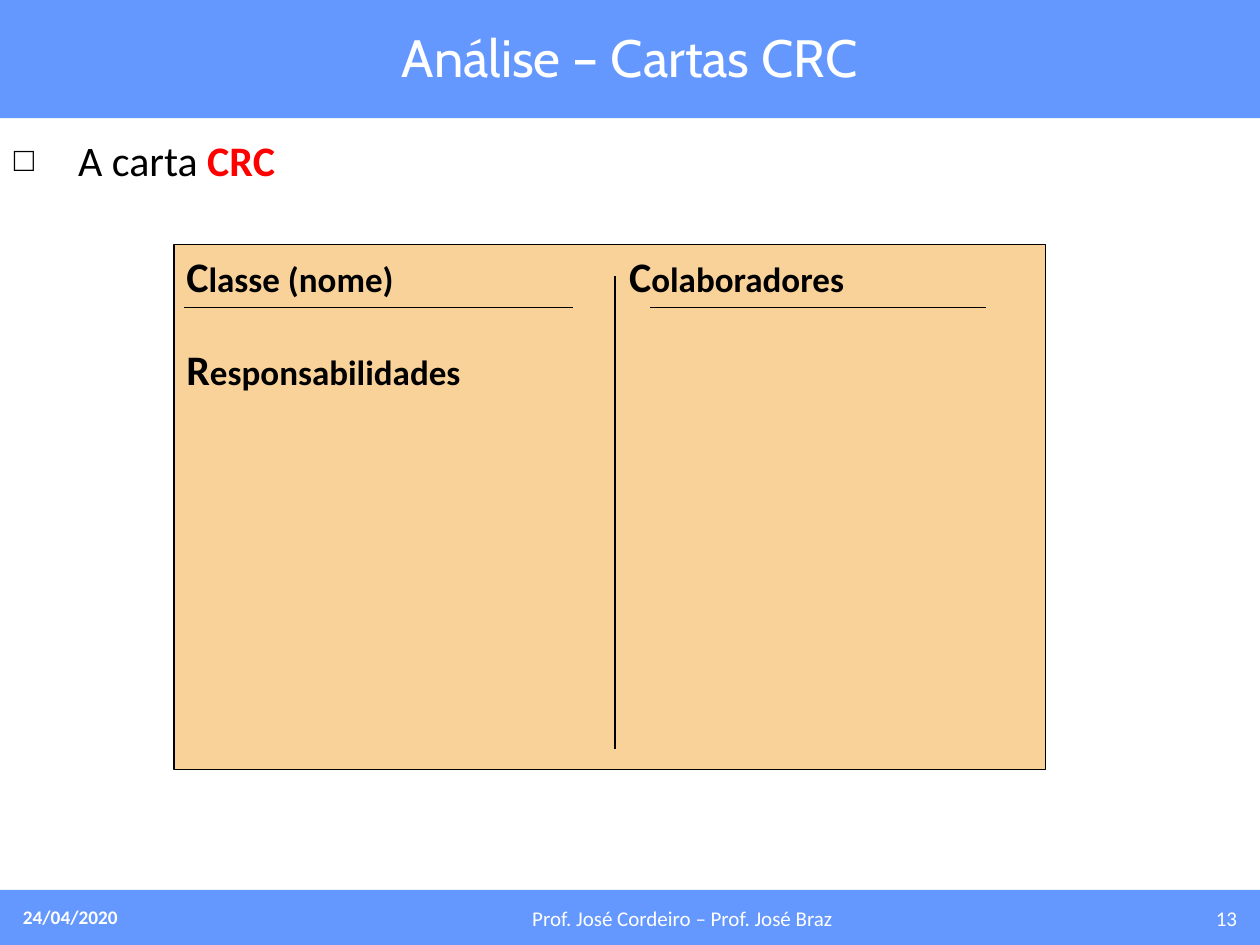
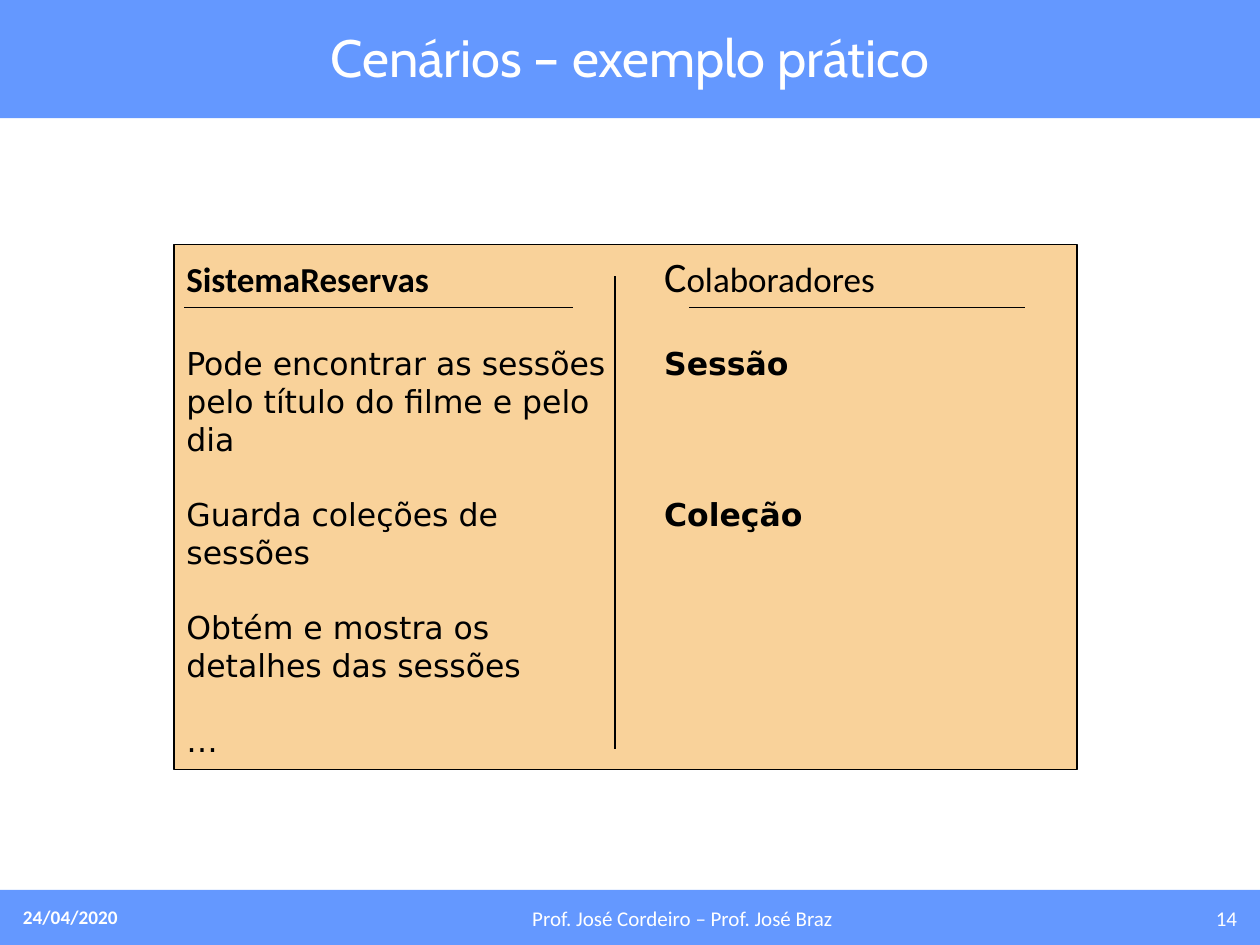
from lxml.etree import SubElement as Sub
from pptx import Presentation
from pptx.dml.color import RGBColor
from pptx.enum.shapes import MSO_CONNECTOR as Link, MSO_SHAPE as Kind
from pptx.enum.text import MSO_ANCHOR as Anchor, MSO_AUTO_SIZE as Fit, PP_ALIGN as Align
from pptx.oxml.ns import qn
from pptx.util import Pt

BLUE, SAND, WHITE, BLACK, RED = "6498FF", "F9D29A", "FFFFFF", "000000", "FF0000"
WIDE, HIGH = 720, 540
BANDS = [(508.5, 31.5), (0, 67.5)]  # top, height

# Text styles: font, size, bold, colour
TITLE = ("Cabin", 30, False, WHITE)
DATE = ("Calibri", 11, True, WHITE)
FOOT = ("Calibri", 12, False, WHITE)
LEAD = ("Calibri", 24, False, BLACK)
KEY = ("Calibri", 24, True, RED)
CAP = ("Calibri", 24, True, BLACK)
HEAD = ("Calibri", 20, True, BLACK)
THIN = ("Calibri", 20, False, BLACK)
ITEM = ("DejaVu Sans", 18, False, BLACK)
NAME = ("DejaVu Sans", 18, True, BLACK)

# Card rows: space before, then runs; a tab leads to the second column
SLIDES = [
    {
        "title": "Análise – Cartas CRC", "page": "13",
        "body": [("A carta ", LEAD), ("CRC", KEY)],
        "width": 498, "tab": 253, "rule": 371.5,
        "rows": [
            (0, [("C", CAP), ("lasse (nome)\t", HEAD), ("C", CAP), ("olaboradores", HEAD)]),
            (24.4, [("R", CAP), ("esponsabilidades", HEAD)]),
        ],
    },
    {
        "title": "Cenários – exemplo prático", "page": "14",
        "body": [],
        "width": 516, "tab": 273, "rule": 394,
        "rows": [
            (0, [("SistemaReservas\t", HEAD), ("C", LEAD), ("olaboradores", THIN)]),
            (24.4, [("Pode encontrar as sessões\t", ITEM), ("Sessão", NAME),
                    ("\npelo título do filme e pelo\ndia", ITEM)]),
            (21.5, [("Guarda coleções de\t", ITEM), ("Coleção", NAME), ("\nsessões", ITEM)]),
            (21.5, [("Obtém e mostra os\ndetalhes das sessões", ITEM)]),
            (21.5, [("…", ITEM)]),
        ],
    },
]
AUTHORS = "Prof. José Cordeiro – Prof. José Braz"
FEET = [  # left, width, alignment, style
    (6, 93, Align.LEFT, DATE),
    (99, 582, Align.CENTER, FOOT),
    (683, 31, Align.RIGHT, FOOT),
]
CARD_X, CARD_Y, CARD_H = 99.4, 139.8, 300
MID_X, RULE_Y = 351.4, 175.6


def tint(code):
    return RGBColor.from_string(code)


def style(run, look):
    font = run.font
    font.name, size, font.bold, code = look
    font.size = Pt(size)
    font.color.rgb = tint(code)


def write(par, runs):
    """Add styled runs; a newline in a text is a line break."""
    for text, look in runs:
        for num, line in enumerate(text.split("\n")):
            if num:
                par.add_line_break()
            if line:
                run = par.add_run()
                run.text = line
                style(run, look)


def place(shape, x, y, w, h):
    shape.left, shape.top, shape.width, shape.height = map(Pt, (x, y, w, h))


def box(slide, x, y, w, h, fill):
    shape = slide.shapes.add_shape(Kind.RECTANGLE, *map(Pt, (x, y, w, h)))
    shape.shadow.inherit = False
    shape.fill.solid()
    shape.fill.fore_color.rgb = tint(fill)
    shape.line.fill.background()
    return shape


def pen(line):
    line.color.rgb = tint(BLACK)
    line.width = Pt(0.75)


def rule(slide, *ends):
    line = slide.shapes.add_connector(Link.STRAIGHT, *map(Pt, ends))
    Sub(line.element.spPr, qn("a:effectLst"))
    pen(line.line)


def share(slide, master):
    """Move the blue bands to the master, behind all slides."""
    for num, (top, high) in enumerate(BANDS):
        band = box(slide, 0, top, WIDE, high, BLUE)
        band.element.nvSpPr.cNvPr.id = 100 + num
        master.shapes.element.insert(2, band.element)


def label(slide, text, x, w, align, look):
    frame = slide.shapes.add_textbox(Pt(x), Pt(514), Pt(w), Pt(25)).text_frame
    frame.word_wrap = True
    frame.text = text
    par = frame.paragraphs[0]
    par.alignment = align
    style(par.runs[0], look)


def head(slide, text):
    title = slide.shapes.title
    place(title, 0, 10.8, WIDE, 43.2)
    frame = title.text_frame
    frame.text = text
    frame.auto_size = Fit.NONE
    frame.vertical_anchor = Anchor.BOTTOM
    par = frame.paragraphs[0]
    par.alignment = Align.CENTER
    style(par.runs[0], TITLE)


def bullet(slide, runs):
    body = slide.placeholders[1]
    place(body, 0.7, 67.7, 654, 43.2)
    body.text_frame.auto_size = Fit.NONE
    par = body.text_frame.paragraphs[0]
    par.line_spacing = 1.2
    par.space_before = Pt(0)
    props = par._p.get_or_add_pPr()
    props.set("marL", str(Pt(36.7)))
    props.set("indent", str(-Pt(36.7)))
    Sub(props, qn("a:buSzPct"), val="80000")
    Sub(props, qn("a:buChar"), char="□")
    write(par, runs)


def card(slide, data):
    shape = box(slide, CARD_X, CARD_Y, data["width"], CARD_H, SAND)
    pen(shape.line)
    frame = shape.text_frame
    frame.word_wrap = False
    frame.vertical_anchor = Anchor.TOP
    for num, (gap, runs) in enumerate(data["rows"]):
        par = frame.add_paragraph() if num else frame.paragraphs[0]
        par.alignment = Align.LEFT
        if gap:
            par.space_before = Pt(gap)
        tabs = Sub(par._p.get_or_add_pPr(), qn("a:tabLst"))
        Sub(tabs, qn("a:tab"), pos=str(Pt(data["tab"])), algn="l")
        write(par, runs)
    rule(slide, MID_X, CARD_Y + 18, MID_X, CARD_Y + CARD_H - 12)
    for x, w in [(105.2, 222), (data["rule"], 192)]:
        rule(slide, x, RULE_Y, x + w, RULE_Y)


def main():
    deck = Presentation()
    deck.slide_width, deck.slide_height = Pt(WIDE), Pt(HIGH)
    for num, data in enumerate(SLIDES):
        slide = deck.slides.add_slide(deck.slide_layouts[1 if data["body"] else 5])
        if num == 0:
            share(slide, deck.slide_master)
        head(slide, data["title"])
        for text, foot in zip(("24/04/2020", AUTHORS, data["page"]), FEET):
            label(slide, text, *foot)
        if data["body"]:
            bullet(slide, data["body"])
        card(slide, data)
    deck.save("out.pptx")


if __name__ == "__main__":
    main()
